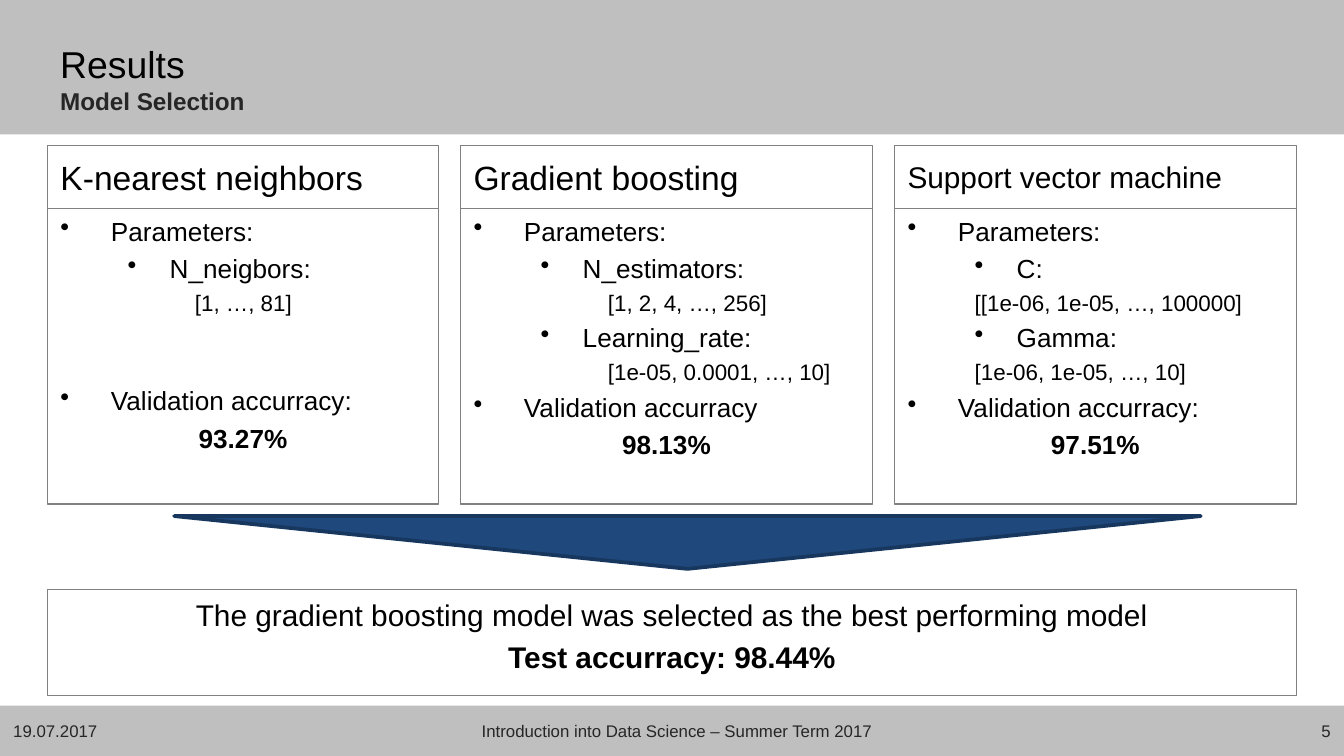
from pptx import Presentation
from pptx.dml.color import RGBColor
from pptx.enum.shapes import MSO_SHAPE
from pptx.enum.text import MSO_ANCHOR, PP_ALIGN
from pptx.util import Pt
from lxml.etree import SubElement
from pptx.oxml.ns import qn

COLORS = {"band": "BFBFBF", "arrow": "1F497D", "arrow_edge": "17375E",
          "frame": "808080", "text": "000000", "muted": "262626"}
# Left margin and first-line indent of each outline level
INDENTS = [(27, -27), (58.5, -22.5), (90, -18)]


class SlideBuilder:
    font = "Arial"
    spacing = 0.23  # space before a paragraph, as a share of its text size

    def __init__(self, slide):
        self.slide = slide

    def color(self, name):
        return RGBColor.from_string(COLORS[name])

    def shape(self, kind, box, fill=None, line=None, weight=0.75):
        shape = self.slide.shapes.add_shape(kind, *map(Pt, box))
        shape.shadow.inherit = False
        if fill:
            shape.fill.solid()
            shape.fill.fore_color.rgb = self.color(fill)
        else:
            shape.fill.background()
        if line:
            shape.line.color.rgb = self.color(line)
            shape.line.width = Pt(weight)
        else:
            shape.line.fill.background()
        return shape

    def style(self, font, size, bold=False, color="text"):
        font.name, font.size, font.bold = self.font, Pt(size), bold
        font.color.rgb = self.color(color)

    def frame(self, owner, anchor):
        frame = owner.text_frame
        frame.word_wrap = True
        frame.vertical_anchor = anchor
        return frame

    def paragraph(self, frame, text, size, bold=False, color="text", level=None,
                  bullet=False, align=PP_ALIGN.LEFT, before=None):
        first = not frame.paragraphs[0].runs
        paragraph = frame.paragraphs[0] if first else frame.add_paragraph()
        paragraph.add_run().text = text
        paragraph.alignment = align
        if before is None:
            before = 0 if first else round(size * self.spacing, 1)
        paragraph.space_before = Pt(before)
        properties = paragraph._p.get_or_add_pPr()
        if level is not None:
            margin, indent = INDENTS[level]
            properties.set("marL", str(Pt(margin)))
            properties.set("indent", str(Pt(indent)))
        if bullet:
            SubElement(properties, qn("a:buChar"), char="•")
        self.style(paragraph.font, size, bold, color)

    def title(self, box, heading, subheading):
        frame = self.frame(self.slide.shapes.add_textbox(*map(Pt, box)), MSO_ANCHOR.MIDDLE)
        paragraph = frame.paragraphs[0]
        top = paragraph.add_run()
        top.text = heading
        self.style(top.font, 20)
        paragraph.add_line_break()
        below = paragraph.add_run()
        below.text = subheading
        self.style(below.font, 13, True, "muted")

    def footer(self, box, text, align):
        frame = self.frame(self.slide.shapes.add_textbox(*map(Pt, box)), MSO_ANCHOR.MIDDLE)
        self.paragraph(frame, text, 9, color="muted", align=align)

    def panel(self, box, anchor=MSO_ANCHOR.TOP):
        return self.frame(self.shape(MSO_SHAPE.RECTANGLE, box, line="frame"), anchor)

    def model(self, left, width, name, name_size, parameters, range_level,
              label, accuracy, label_gap):
        header = self.panel((left, 77.8, width, 33.8), MSO_ANCHOR.MIDDLE)
        self.paragraph(header, name, name_size)
        body = self.panel((left, 111.6, width, 158.4))
        self.paragraph(body, "Parameters:", 14, level=0, bullet=True)
        for parameter, values in parameters:
            self.paragraph(body, parameter, 14, level=1, bullet=True)
            self.paragraph(body, values, 12, level=range_level)
        self.paragraph(body, label, 14, level=0, bullet=True, before=label_gap)
        self.paragraph(body, accuracy, 14, bold=True, align=PP_ALIGN.CENTER)


def main():
    presentation = Presentation()
    presentation.slide_width, presentation.slide_height = Pt(720), Pt(405)
    page = SlideBuilder(presentation.slides.add_slide(presentation.slide_layouts[6]))

    # Header and footer bands, arrow down to the conclusion
    page.shape(MSO_SHAPE.RECTANGLE, (0, 0, 720, 72), fill="band")
    page.shape(MSO_SHAPE.RECTANGLE, (0, 378, 720, 27), fill="band")
    page.shape(MSO_SHAPE.FLOWCHART_MERGE, (93.3, 276.5, 550, 28.3),
               fill="arrow", line="arrow_edge", weight=2)

    # Title
    page.title((25.2, 16.6, 607, 50.4), "Results", "Model Selection")

    # One column per model: width, name, name size, parameters, level of the
    # value ranges, accuracy label, accuracy, space before the label
    models = [
        (209.8, "K-nearest neighbors", 18, [("N_neigbors:", "[1, …, 81]")],
         2, "Validation accurracy:", "93.27%", 37),
        (221, "Gradient boosting", 18,
         [("N_estimators:", "[1, 2, 4, …, 256]"),
          ("Learning_rate:", "[1e-05, 0.0001, …, 10]")],
         2, "Validation accurracy", "98.13%", None),
        (215.5, "Support vector machine", 16,
         [("C:", "[[1e-06, 1e-05, …, 100000]"), ("Gamma:", "[1e-06, 1e-05, …, 10]")],
         1, "Validation accurracy:", "97.51%", None),
    ]
    left, gap = 25.3, 11.5
    for width, *content in models:
        page.model(left, width, *content)
        left += width + gap

    # Conclusion
    conclusion = page.panel((25.3, 315.9, 669.3, 56.7))
    page.paragraph(conclusion, "The gradient boosting model was selected as the best "
                   "performing model", 16, align=PP_ALIGN.CENTER)
    page.paragraph(conclusion, "Test accurracy: 98.44%", 16, bold=True,
                   align=PP_ALIGN.CENTER)

    # Footer
    page.footer((0, 383, 65.5, 17.3), "19.07.2017", PP_ALIGN.LEFT)
    page.footer((76.3, 383, 572.4, 17.3),
                "Introduction into Data Science – Summer Term 2017", PP_ALIGN.CENTER)
    page.footer((654.5, 383, 65.5, 17.3), "5", PP_ALIGN.RIGHT)

    presentation.save("out.pptx")


if __name__ == "__main__":
    main()
